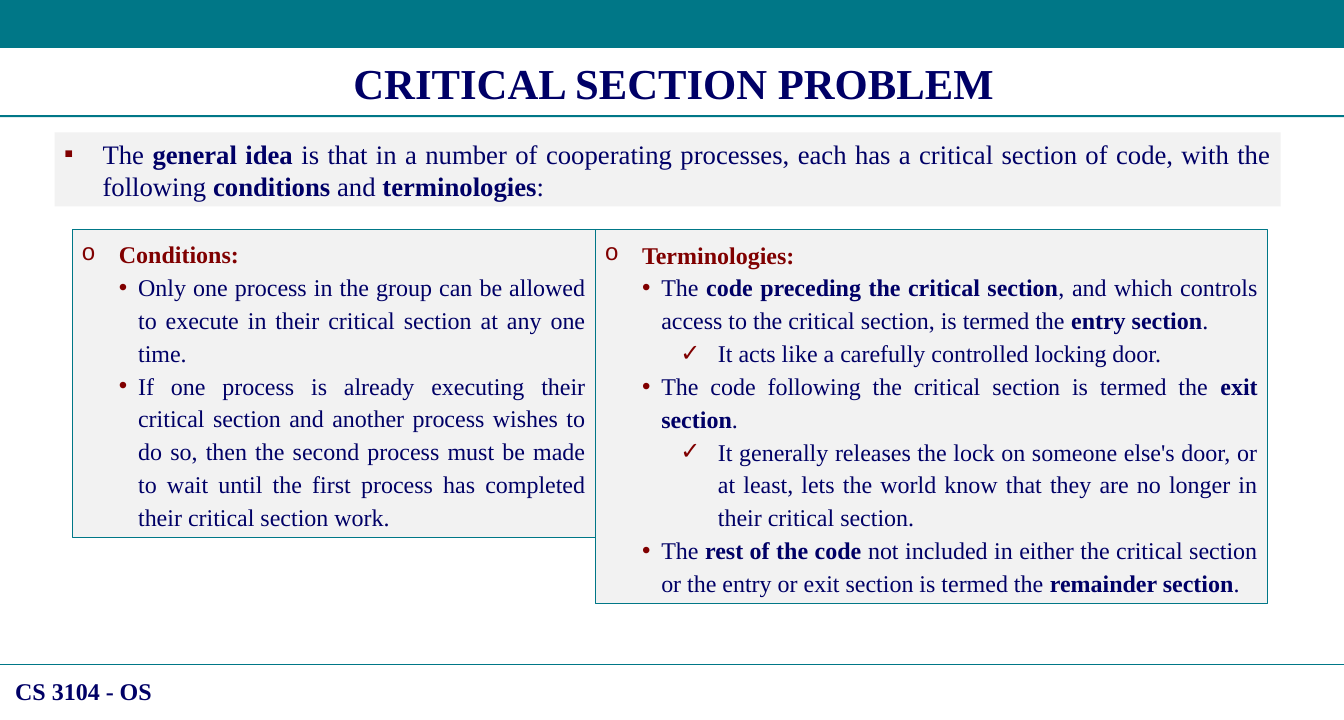
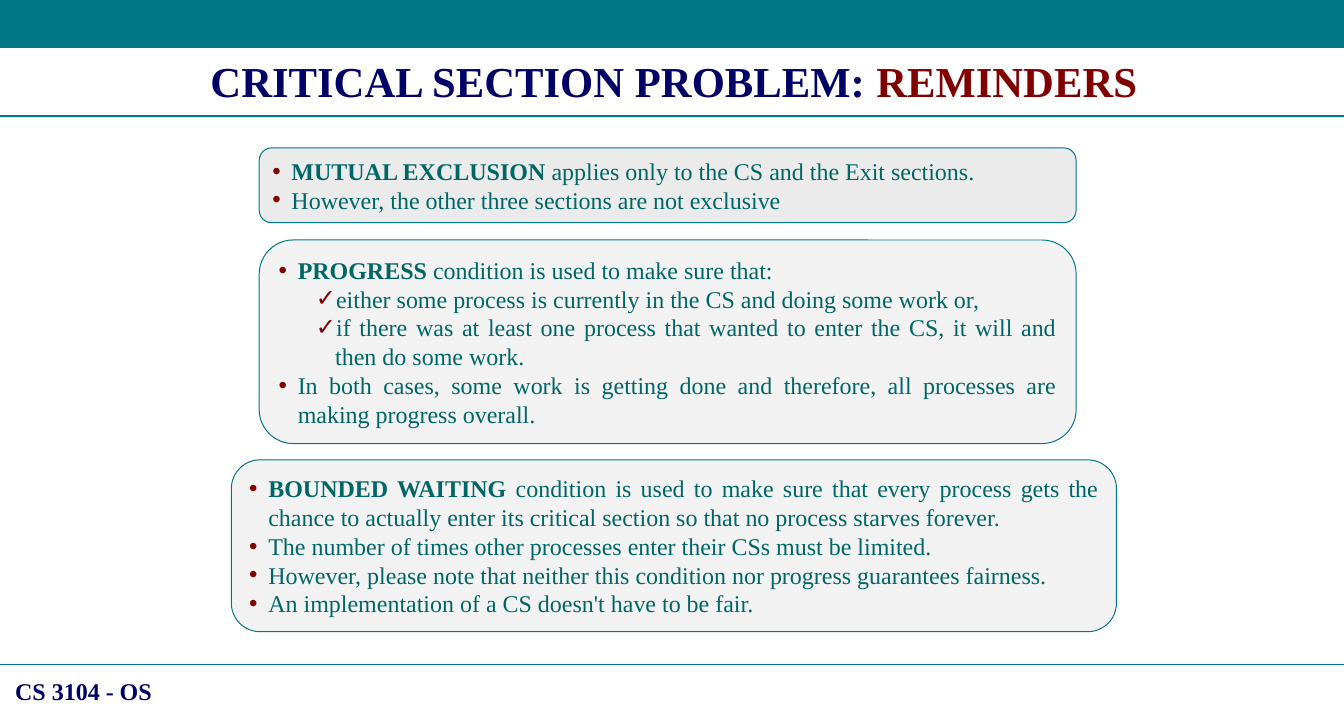
"""Build two slides on the critical section problem."""
from lxml import etree
from pptx import Presentation, util as u
from pptx.dml.color import RGBColor
from pptx.enum import shapes, text
from pptx.oxml.ns import qn


class Theme:
    teal = RGBColor.from_string("007787")
    navy = RGBColor.from_string("000066")
    green = RGBColor.from_string("006666")
    red = RGBColor.from_string("800000")
    pale = RGBColor.from_string("F2F2F2")
    gray = RGBColor.from_string("D9D9D9")
    font = "Times New Roman"
    head, lead, body = 32, 20, 18


ALIGN = text.PP_ALIGN
SHAPE = shapes.MSO_SHAPE
FACES = {"o": "Courier New"}
LEAD = {"▪": (0.4, 0.4)}
WIDE = {"o": (0.39, 0.39), "•": (0.59, 0.2), "✓": (1.18, 0.39)}
TIGHT = {"•": (0.2, 0.2), "✓": (0.59, 0.2)}


def write(shape, rows, size=Theme.body, tone=Theme.navy, accent=None, bold=False,
          align=ALIGN.JUSTIFY, marks=None, gap=None, anchor=text.MSO_ANCHOR.MIDDLE):
    """Write (bullet, text) rows; words between asterisks are bold, or take the accent."""
    frame = shape.text_frame
    frame.word_wrap = True
    frame.auto_size = text.MSO_AUTO_SIZE.SHAPE_TO_FIT_TEXT
    frame.vertical_anchor = anchor
    for i, (mark, line) in enumerate(rows):
        para = frame.add_paragraph() if i else frame.paragraphs[0]
        para.alignment = align
        if gap:
            para.line_spacing = gap
        if mark:
            left, hang = marks[mark]
            props = para._p.get_or_add_pPr()
            props.set("marL", str(u.Inches(left)))
            props.set("indent", str(-u.Inches(hang)))
            color = etree.SubElement(props, qn("a:buClr"))
            etree.SubElement(color, qn("a:srgbClr"), val=str(Theme.red))
            etree.SubElement(props, qn("a:buFont"), typeface=FACES.get(mark, "Arial"))
            etree.SubElement(props, qn("a:buChar"), char=mark)
        for j, part in enumerate(line.split("*")):
            if part:
                run = para.add_run()
                run.text = part
                font = run.font
                font.name, font.size = Theme.font, u.Pt(size)
                font.bold = bold or mark == "o" or j % 2 == 1
                font.color.rgb = Theme.red if mark == "o" else accent if accent and j % 2 else tone


def block(slide, spot, kind=SHAPE.RECTANGLE, fill=Theme.pale, line=None, alpha=None):
    """Add a flat filled shape."""
    shape = slide.shapes.add_shape(kind, *map(u.Inches, spot))
    shape.shadow.inherit = False
    shape.fill.solid()
    shape.fill.fore_color.rgb = fill
    if alpha:
        color = shape._element.spPr.find(qn("a:solidFill") + "/" + qn("a:srgbClr"))
        etree.SubElement(color, qn("a:alpha"), val=str(alpha * 1000))
    if line:
        shape.line.color.rgb = line
        shape.line.width = u.Pt(0.75)
    else:
        shape.line.fill.background()
    return shape


deck = Presentation()
deck.slide_width, deck.slide_height = u.Inches(14), u.Inches(7.5)

pages = []
for title, top in (("CRITICAL SECTION PROBLEM", 0.54),
                   ("CRITICAL SECTION PROBLEM: *REMINDERS*", 0.52)):
    slide = deck.slides.add_slide(deck.slide_layouts[5])
    pages.append(slide)
    block(slide, (0, 0, 14, 0.5), fill=Theme.teal)
    block(slide, (0, 1.2, 14, 0.02), fill=Theme.teal)
    rule = slide.shapes.add_connector(shapes.MSO_CONNECTOR.STRAIGHT, 0, u.Inches(6.92),
                                      u.Inches(14), u.Inches(6.92))
    rule.line.color.rgb = Theme.teal
    rule.line.width = u.Pt(1)
    etree.SubElement(rule._element.spPr, qn("a:effectLst"))
    foot = slide.shapes.add_textbox(*map(u.Inches, (0.06, 7, 1.8, 0.4)))
    write(foot, [(None, "CS 3104 - OS")], bold=True, align=ALIGN.LEFT, anchor=text.MSO_ANCHOR.TOP)
    head = slide.shapes.title
    head.left, head.top, head.width, head.height = map(u.Inches, (0.13, top, 13.78, 0.64))
    write(head, [(None, title)], size=Theme.head, accent=Theme.red, bold=True,
          align=ALIGN.CENTER, anchor=text.MSO_ANCHOR.TOP)

idea, recap = pages

intro = block(idea, (0.57, 1.38, 12.77, 0.77))
write(intro, [("▪", "The *general idea *is that in a number of cooperating processes, each has a "
                    "critical section of code, with the following *conditions* and "
                    "*terminologies*:")], size=Theme.lead, marks=LEAD)

panels = [
    ((0.75, 2.39, 5.45, 3.21), [
        ("o", "Conditions:"),
        ("•", "Only one process in the group can be allowed to execute in their critical "
              "section at any one time. "),
        ("•", "If one process is already executing their critical section and another process "
              "wishes to do so, then the second process must be made to wait until the first "
              "process has completed their critical section work."),
    ]),
    ((6.2, 2.39, 7, 3.9), [
        ("o", "Terminologies:"),
        ("•", "The *code preceding the critical section*, and which controls access to the "
              "critical section, is termed the *entry section*. "),
        ("✓", "It acts like a carefully controlled locking door."),
        ("•", "The code following the critical section is termed the *exit section*. "),
        ("✓", "It generally releases the lock on someone else's door, or at least, lets the "
              "world know that they are no longer in their critical section."),
        ("•", "The *rest of the code* not included in either the critical section or the entry "
              "or exit section is termed the *remainder section*."),
    ]),
]
for spot, rows in panels:
    write(block(idea, spot, line=Theme.teal), rows, marks=WIDE, gap=1.14)

cards = [
    ((2.7, 1.54, 8.51, 0.78), Theme.gray, 50, [
        ("•", "*MUTUAL EXCLUSION *applies only to the CS and the Exit sections. "),
        ("•", "However, the other three sections are not exclusive"),
    ]),
    ((2.7, 2.5, 8.51, 2.12), Theme.pale, None, [
        ("•", "*PROGRESS *condition is used to make sure that:"),
        ("✓", "either some process is currently in the CS and doing some work or, "),
        ("✓", "if there was at least one process that wanted to enter the CS, it will and then "
              "do some work. "),
        ("•", "In both cases, some work is getting done and therefore, all processes are making "
              "progress overall."),
    ]),
    ((2.41, 4.79, 9.22, 1.79), Theme.pale, None, [
        ("•", "*BOUNDED WAITING* condition is used to make sure that every process gets the "
              "chance to actually enter its critical section so that no process starves "
              "forever. "),
        ("•", "The number of times other processes enter their CSs must be limited."),
        ("•", "However, please note that neither this condition nor progress guarantees "
              "fairness. "),
        ("•", "An implementation of a CS doesn't have to be fair."),
    ]),
]
for spot, fill, alpha, rows in cards:
    card = block(recap, spot, SHAPE.ROUNDED_RECTANGLE, fill, Theme.teal, alpha)
    write(card, rows, tone=Theme.green, marks=TIGHT)

deck.save("out.pptx")
